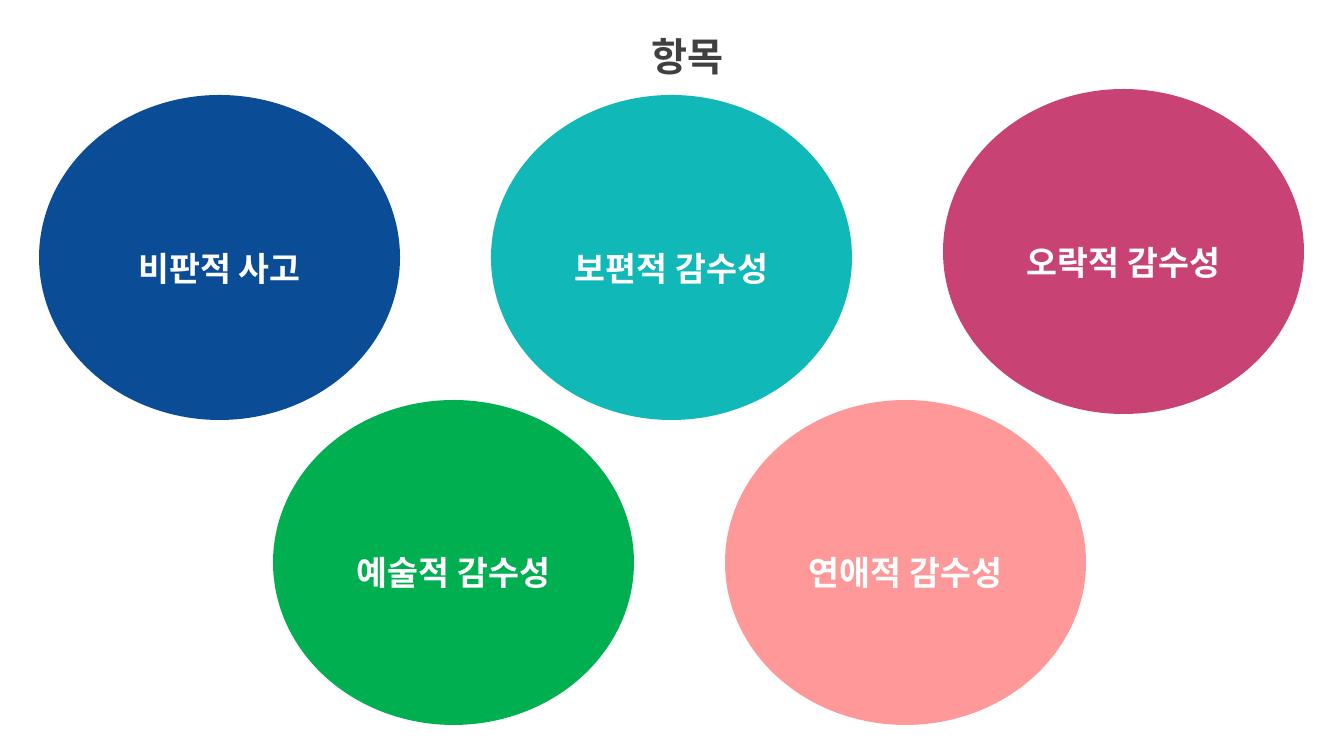
from lxml import etree
from pptx import Presentation
from pptx.dml.color import RGBColor
from pptx.enum.shapes import MSO_SHAPE
from pptx.enum.text import MSO_ANCHOR, PP_ALIGN
from pptx.oxml.ns import qn
from pptx.util import Pt

ELLIPSE = MSO_SHAPE.OVAL
MIDDLE, TOP = MSO_ANCHOR.MIDDLE, MSO_ANCHOR.TOP
CENTER = PP_ALIGN.CENTER

FONT = "Noto Sans CJK KR"
NAVY = RGBColor(0x0A, 0x4C, 0x96)
TEAL = RGBColor(0x10, 0xB8, 0xB7)
MAGENTA = RGBColor(0xC8, 0x43, 0x74)
GREEN = RGBColor(0x00, 0xB0, 0x50)
PINK = RGBColor(0xFF, 0x99, 0x99)
DARK_GRAY = RGBColor(0x40, 0x40, 0x40)
WHITE = RGBColor(0xFF, 0xFF, 0xFF)

EMU_PER_PIXEL = 914400 / 100.8
CIRCLE_WIDTH, CIRCLE_HEIGHT = 361, 325
CIRCLE_STEP = 452

# Each row: left, top, then (label, fill, vertical shift) per circle
CIRCLE_ROWS = [
    (39, 95, [("비판적 사고", NAVY, 0),
              ("보편적 감수성", TEAL, 0),
              ("오락적 감수성", MAGENTA, -6)]),
    (273, 400, [("예술적 감수성", GREEN, 0),
                ("연애적 감수성", PINK, 0)]),
]


def to_emu(*pixels):
    """Turn pixel lengths into EMU."""
    return [round(pixel * EMU_PER_PIXEL) for pixel in pixels]


def set_text(shape, text, size, color, anchor):
    """Write one bold, centred line of text into a shape."""
    frame = shape.text_frame
    frame.word_wrap = True
    frame.vertical_anchor = anchor
    paragraph = frame.paragraphs[0]
    paragraph.alignment = CENTER
    paragraph.line_spacing = 1.5
    run = paragraph.add_run()
    run.text = text
    run.font.color.rgb = color
    for name, value in {"name": FONT, "size": Pt(size), "bold": True}.items():
        setattr(run.font, name, value)
    properties = run._r.get_or_add_rPr()
    etree.SubElement(properties, qn("a:ea"), typeface=FONT)


def add_title(slide, left, top, width, height):
    """Place the heading in the given box."""
    title = slide.shapes.add_textbox(*to_emu(left, top, width, height))
    set_text(title, "항목", 28, DARK_GRAY, TOP)


def add_circle_row(slide, left, top, circles):
    """Place evenly spaced labelled circles from the given corner."""
    for index, (label, fill, shift) in enumerate(circles):
        box = to_emu(left + index * CIRCLE_STEP, top + shift,
                     CIRCLE_WIDTH, CIRCLE_HEIGHT)
        circle = slide.shapes.add_shape(ELLIPSE, *box)
        circle.shadow.inherit = False
        circle.fill.solid()
        circle.fill.fore_color.rgb = fill
        circle.line.fill.background()
        set_text(circle, label, 24, WHITE, MIDDLE)


def main():
    """Build and save the slide."""
    presentation = Presentation()
    presentation.slide_width, presentation.slide_height = to_emu(1344, 756)
    slide = presentation.slides.add_slide(presentation.slide_layouts[6])
    add_title(slide, 454, 4, 467, 73)
    for left, top, circles in CIRCLE_ROWS:
        add_circle_row(slide, left, top, circles)
    presentation.save("out.pptx")


main()
